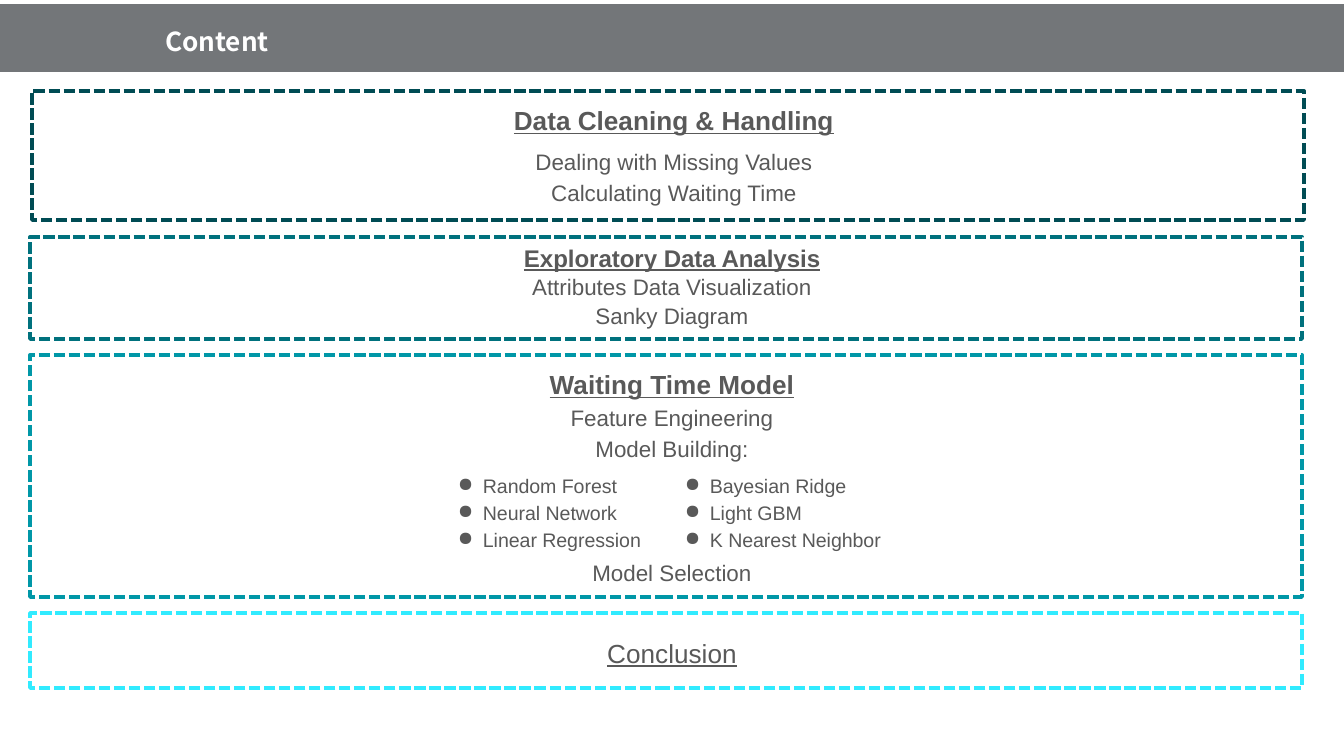
from lxml.etree import SubElement
from pptx import Presentation
from pptx.dml.color import RGBColor
from pptx.enum.dml import MSO_LINE
from pptx.enum.shapes import MSO_SHAPE
from pptx.enum.text import MSO_ANCHOR, MSO_AUTO_SIZE, PP_ALIGN
from pptx.oxml.ns import qn
from pptx.util import Pt

EMU_PER_PX = 914400 / 134.4
GREY = "595959"


def px(length):
    return round(length * EMU_PER_PX)


def color(hex_code):
    return RGBColor.from_string(hex_code)


def prepare(frame, inset_x, inset_y, anchor=MSO_ANCHOR.TOP):
    frame.word_wrap = True
    frame.auto_size = MSO_AUTO_SIZE.NONE
    frame.vertical_anchor = anchor
    frame.margin_left = frame.margin_right = px(inset_x)
    frame.margin_top = frame.margin_bottom = px(inset_y)


def write(frame, text, size=12, font="Arial", ink=GREY, bold=False, underline=False,
          align=PP_ALIGN.CENTER, spacing=1.15, before=0, margin=12, hanging=0, bullet=None):
    first = frame.paragraphs[0]
    paragraph = frame.add_paragraph() if first.runs else first
    properties = paragraph._p.get_or_add_pPr()
    properties.set("marL", str(px(margin)))
    properties.set("indent", str(-px(hanging)))
    if bullet:
        bullet_color = SubElement(properties, qn("a:buClr"))
        SubElement(bullet_color, qn("a:srgbClr"), val=ink)
        SubElement(properties, qn("a:buChar"), char=bullet)
    paragraph.alignment = align
    paragraph.line_spacing = spacing
    paragraph.space_before = Pt(before)
    run = paragraph.add_run()
    run.text = text
    run.font.name = font
    run.font.size = Pt(size)
    run.font.bold = bold
    run.font.underline = underline
    run.font.color.rgb = color(ink)


def add_rectangle(slide, box, fill):
    rectangle = slide.shapes.add_shape(MSO_SHAPE.RECTANGLE, *map(px, box))
    rectangle.shadow.inherit = False
    rectangle.fill.solid()
    rectangle.fill.fore_color.rgb = color(fill)
    return rectangle


def add_header(slide, box):
    left, top, width, height = box
    banner = add_rectangle(slide, box, "1E2327")
    banner.line.fill.background()
    banner_color = banner.element.spPr.find(qn("a:solidFill")).find(qn("a:srgbClr"))
    SubElement(banner_color, qn("a:alpha"), val="62000")

    title = slide.shapes.title
    title.left, title.top = px(left + 152), px(top + 11)
    title.width, title.height = px(width - 152), px(46)
    prepare(title.text_frame, 13, 7)
    write(title.text_frame, "Content", size=14, font="Noto Sans CJK SC", ink="FFFFFF",
          bold=True, align=PP_ALIGN.LEFT, spacing=1.1, margin=0)
    title.element.addprevious(banner.element)


def add_section(slide, box, outline, heading, topics=(), heading_size=14, spacing=1.15,
                inset_y=9, gaps=(), bold=True, anchor=MSO_ANCHOR.TOP):
    section = add_rectangle(slide, box, "FFFFFF")
    section.line.color.rgb = color(outline)
    section.line.width = Pt(2)
    section.line.dash_style = MSO_LINE.SQUARE_DOT
    prepare(section.text_frame, 9, inset_y, anchor)
    write(section.text_frame, heading, size=heading_size, bold=bold, underline=True,
          spacing=spacing)
    for topic, gap in zip(topics, gaps or [0] * len(topics)):
        write(section.text_frame, topic, spacing=spacing, before=gap)


def add_model_lists(slide, box, columns):
    left, top, width, height = box
    column_width = width // len(columns)
    for index, models in enumerate(columns):
        column = slide.shapes.add_textbox(
            px(left + index * column_width), px(top), px(column_width), px(height))
        prepare(column.text_frame, 0, 7)
        for model in models:
            write(column.text_frame, model, size=10.5, align=PP_ALIGN.LEFT,
                  margin=38, hanging=25, bullet="●")


def add_waiting_time_model(slide, box):
    left, top, width, height = box
    add_section(slide, box, "0097A7", "Waiting Time Model",
                ["Feature Engineering", "Model Building:", "Model Selection"],
                gaps=[0, 0, 50])
    add_model_lists(slide, (left + 415, top + 109, 454, 96), [
        ["Random Forest", "Neural Network", "Linear Regression"],
        ["Bayesian Ridge", "Light GBM", "K Nearest Neighbor"],
    ])


def main():
    presentation = Presentation()
    presentation.slide_width, presentation.slide_height = px(1344), px(756)
    slide = presentation.slides.add_slide(presentation.slide_layouts[5])

    add_header(slide, (0, 4, 1344, 68))
    add_section(slide, (32, 91, 1272, 129), "004C54", "Data Cleaning & Handling",
                ["Dealing with Missing Values", "Calculating Waiting Time"], gaps=[4.5, 0])
    add_section(slide, (30, 237, 1272, 102), "00717D", "Exploratory Data Analysis",
                ["Attributes Data Visualization", "Sanky Diagram"],
                heading_size=12.9, spacing=1.05, inset_y=5)
    add_waiting_time_model(slide, (30, 355, 1272, 242))
    add_section(slide, (30, 613, 1272, 75), "31EBFF", "Conclusion",
                bold=False, anchor=MSO_ANCHOR.MIDDLE)

    presentation.save("out.pptx")


if __name__ == "__main__":
    main()
